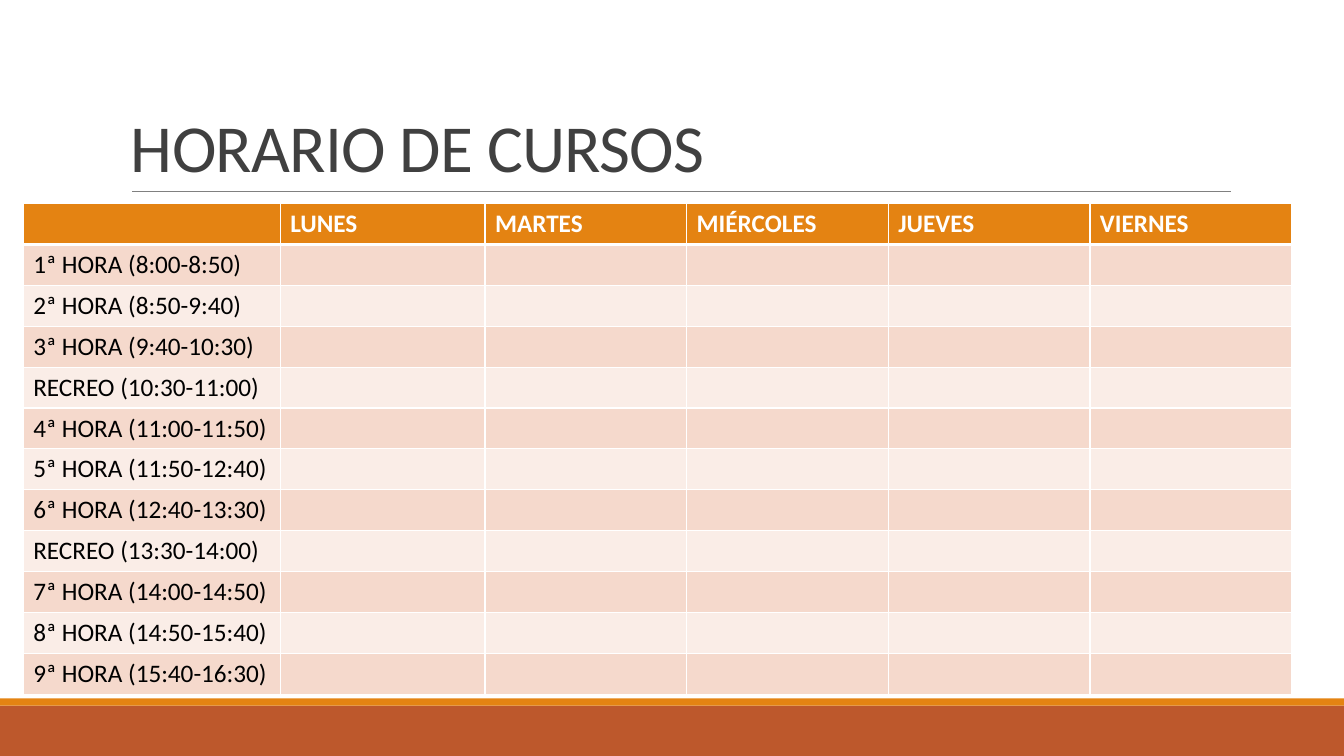
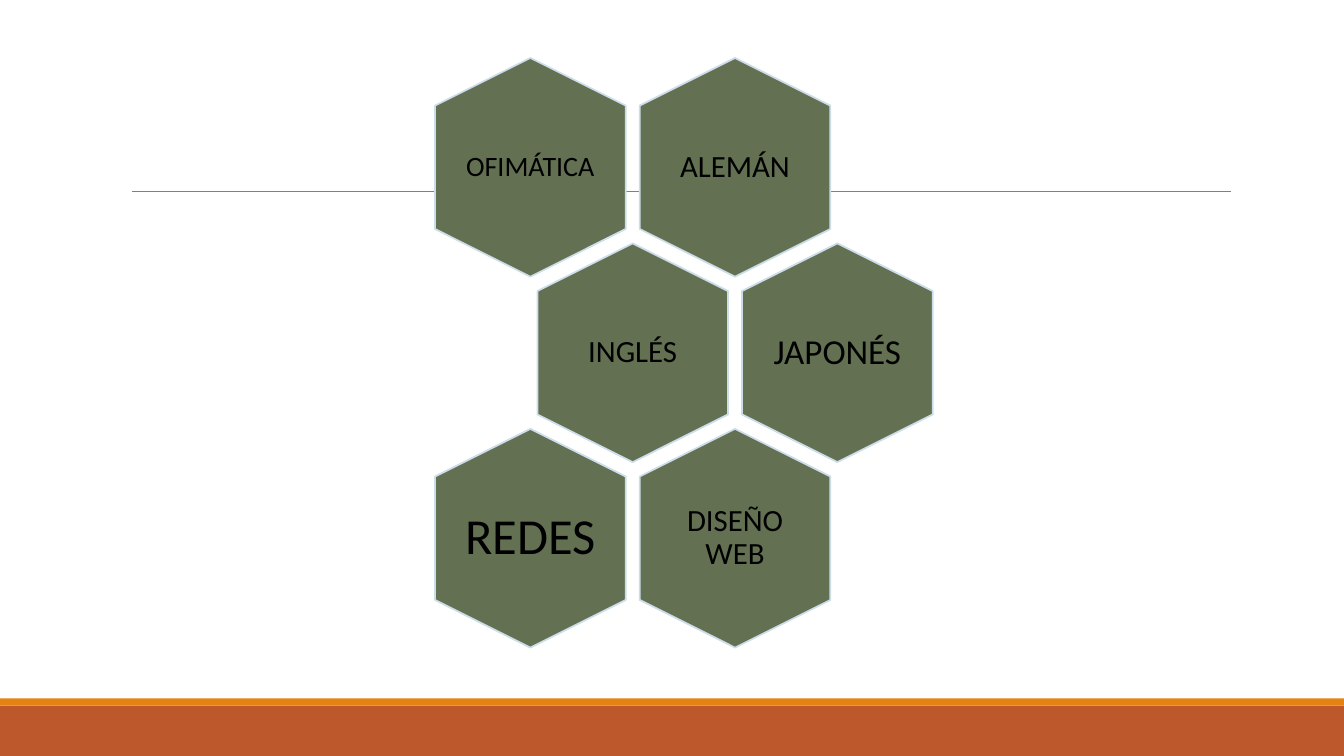
"""Build a course timetable slide and a honeycomb slide of courses."""
from pptx import Presentation
from pptx import util as u
from pptx.dml import color
from pptx.enum import shapes, text
from pptx.oxml import ns
from lxml import etree

FONT = "Calibri"
WHITE, BLACK, DARK, GREY = "FFFFFF", "000000", "404040", "808080"
ORANGE, RUST, GREEN, PALE = "E48312", "BD582C", "637052", "CCDDEA"
STRIPES = ["F5D9CC", "FAEDE7"]

BANDS = [(7, 0.5, RUST), (6.93, 0.07, ORANGE)]
RULE = (1.31, 12.21, 1.9)

TITLE = "HORARIO DE CURSOS"
DAYS = ["", "LUNES", "MARTES", "MIÉRCOLES", "JUEVES", "VIERNES"]
HOURS = [
    "1ª HORA (8:00-8:50)",
    "2ª HORA (8:50-9:40)",
    "3ª HORA (9:40-10:30)",
    "RECREO (10:30-11:00)",
    "4ª HORA (11:00-11:50)",
    "5ª HORA (11:50-12:40)",
    "6ª HORA (12:40-13:30)",
    "RECREO (13:30-14:00)",
    "7ª HORA (14:00-14:50)",
    "8ª HORA (14:50-15:40)",
    "9ª HORA (15:40-16:30)",
]
WIDTHS = [2.55, 2.03, 2, 2, 2, 2]
TABLE_X, TABLE_Y, TABLE_H = 0.23, 2.02, 4.87

COURSES = [
    [("OFIMÁTICA", 20), ("ALEMÁN", 22)],
    [("INGLÉS", 22), ("JAPONÉS", 25)],
    [("REDES", 36), ("DISEÑO WEB", 22)],
]
HEX_W, HEX_H = 2.17, 1.89
HEX_X, HEX_Y = 5.26, 1.66
STEP_X, STEP_Y = 2.03, 1.84
LABEL_W, LABEL_H = 1.3, 1.49


def rgb(code):
    return color.RGBColor.from_string(code)


def inches(*sizes):
    return [u.Inches(size) for size in sizes]


def write(frame, words, size=18, ink=BLACK, bold=False, align=None, lead=None, track=None):
    para = frame.paragraphs[0]
    para.alignment = align
    para.line_spacing = lead
    run = para.add_run()
    run.text = words
    font = run.font
    font.name, font.size, font.bold = FONT, u.Pt(size), bold
    font.color.rgb = rgb(ink)
    if track is not None:
        font._element.set("spc", str(round(track * 100)))


def add_text(slide, box, words, anchor, inset=None, **style):
    frame = slide.shapes.add_textbox(*inches(*box)).text_frame
    frame.word_wrap = True
    frame.vertical_anchor = anchor
    if inset is not None:
        frame.margin_left = frame.margin_right = u.Inches(inset)
        frame.margin_top = frame.margin_bottom = u.Inches(inset)
    write(frame, words, **style)


def add_block(slide, kind, box, fill, line=None, width=1.25):
    block = slide.shapes.add_shape(kind, *inches(*box))
    block.shadow.inherit = False
    block.fill.solid()
    block.fill.fore_color.rgb = rgb(fill)
    if line:
        block.line.color.rgb = rgb(line)
        block.line.width = u.Pt(width)
    else:
        block.line.fill.background()
    return block


def add_slide(deck):
    slide = deck.slides.add_slide(deck.slide_layouts[6])
    for top, high, fill in BANDS:
        add_block(slide, shapes.MSO_SHAPE.RECTANGLE, (0, top, 13.33, high), fill)
    left, right, y = RULE
    rule = slide.shapes.add_connector(
        shapes.MSO_CONNECTOR.STRAIGHT, *inches(left, y, right, y))
    rule.line.color.rgb = rgb(GREY)
    rule.line.width = u.Pt(0.5)
    etree.SubElement(rule._element.spPr, ns.qn("a:effectLst"))
    return slide


def edge_cell(cell, base):
    props = cell._tc.get_or_add_tcPr()
    for side, width in (("L", 1), ("R", 1), ("T", 1), ("B", base)):
        line = etree.SubElement(props, ns.qn("a:ln" + side), w=str(u.Pt(width)))
        fill = etree.SubElement(line, ns.qn("a:solidFill"))
        etree.SubElement(fill, ns.qn("a:srgbClr"), val=WHITE)


def add_times(slide):
    rows = [DAYS] + [[hour] + [""] * (len(DAYS) - 1) for hour in HOURS]
    box = inches(TABLE_X, TABLE_Y, sum(WIDTHS), TABLE_H)
    table = slide.shapes.add_table(len(rows), len(DAYS), *box).table
    for column, width in zip(table.columns, WIDTHS):
        column.width = u.Inches(width)
    for r, row in enumerate(rows):
        head = r == 0
        for c, words in enumerate(row):
            cell = table.cell(r, c)
            edge_cell(cell, 3 if head else 1)
            cell.fill.solid()
            cell.fill.fore_color.rgb = rgb(ORANGE if head else STRIPES[(r - 1) % 2])
            if words:
                write(cell.text_frame, words, ink=WHITE if head else BLACK, bold=head)


def add_comb(slide):
    for r, row in enumerate(COURSES):
        for c, (words, size) in enumerate(row):
            x = HEX_X + (c + r % 2 / 2) * STEP_X
            y = HEX_Y + r * STEP_Y
            cell = add_block(slide, shapes.MSO_SHAPE.HEXAGON,
                             (x - HEX_W / 2, y - HEX_H / 2, HEX_W, HEX_H), GREEN, PALE)
            cell.rotation = 90
            label = (x - LABEL_W / 2, y - LABEL_H / 2, LABEL_W, LABEL_H)
            add_text(slide, label, words, text.MSO_ANCHOR.MIDDLE, inset=0, size=size,
                     align=text.PP_ALIGN.CENTER, lead=0.9)


deck = Presentation()
deck.slide_width, deck.slide_height = inches(13.33, 7.5)

times = add_slide(deck)
add_text(times, (1.2, 0.31, 11, 1.59), TITLE, text.MSO_ANCHOR.BOTTOM,
         size=48, ink=DARK, lead=0.85, track=-0.5)
add_times(times)

add_comb(add_slide(deck))

deck.save("out.pptx")
